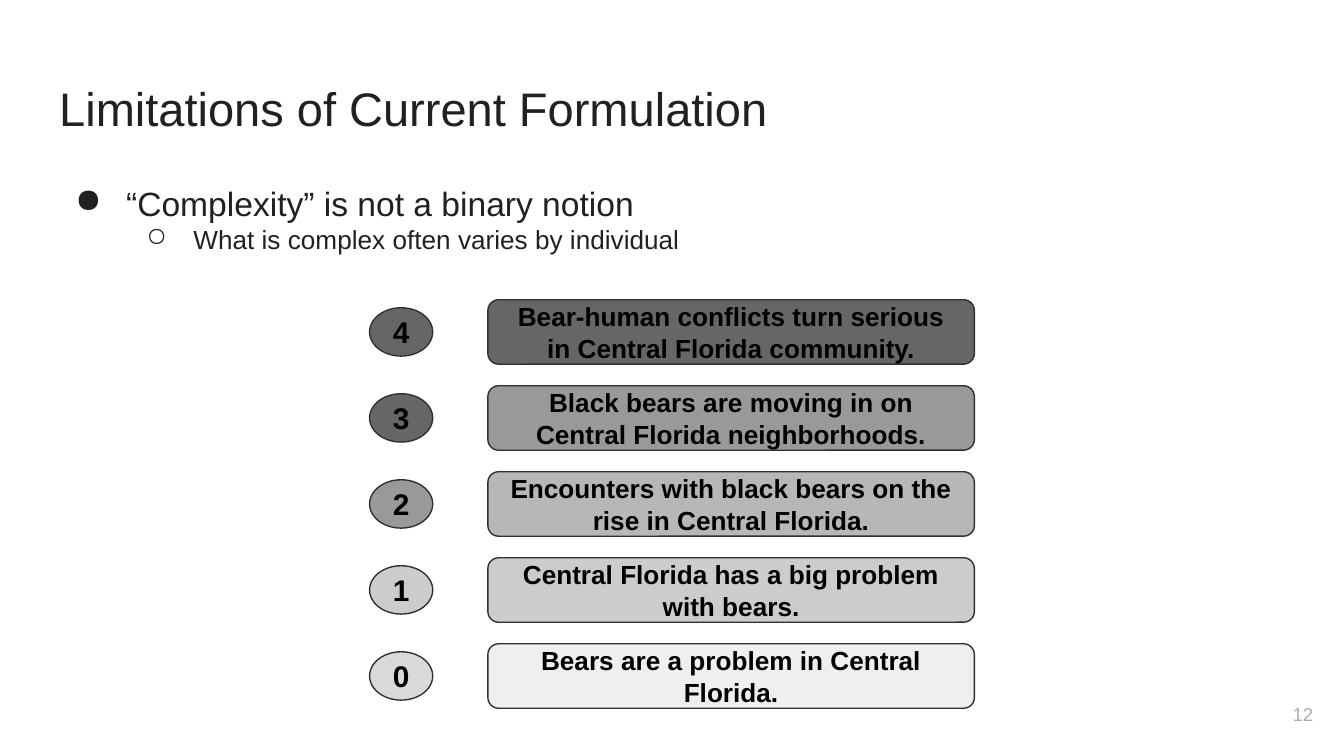
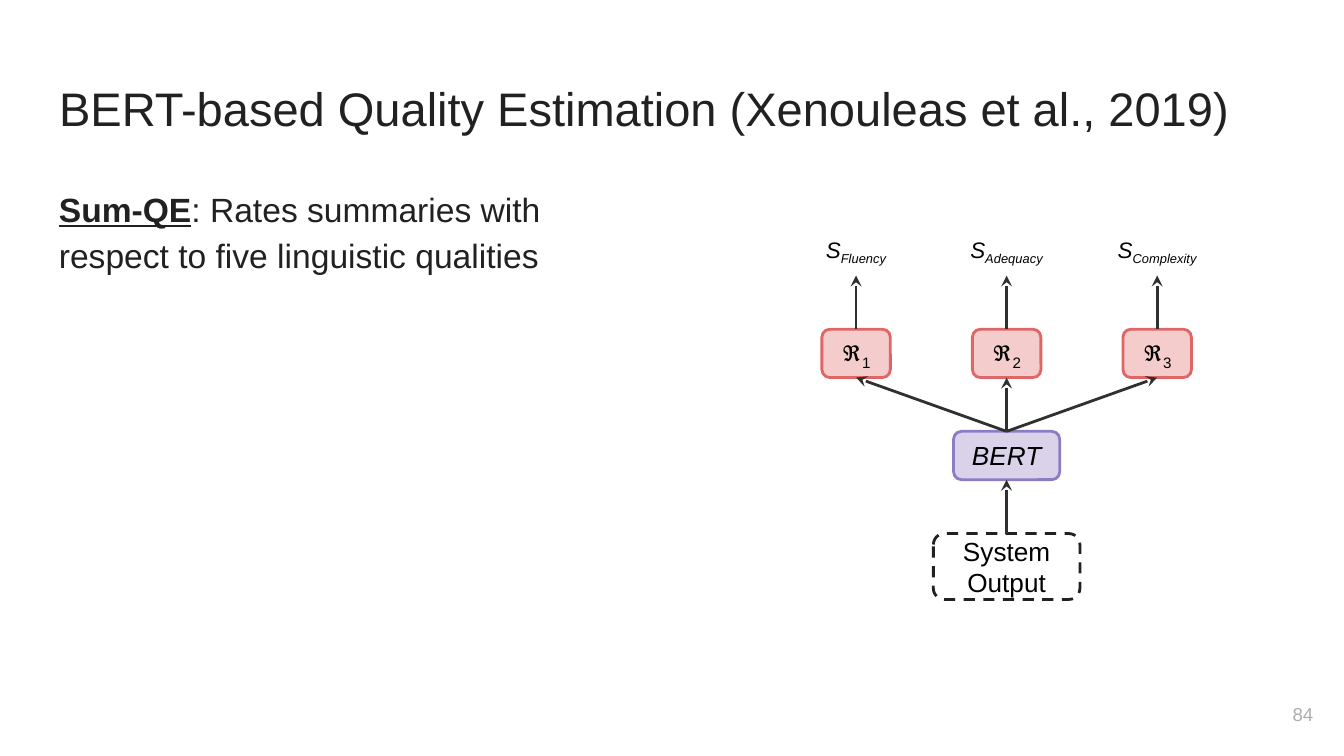
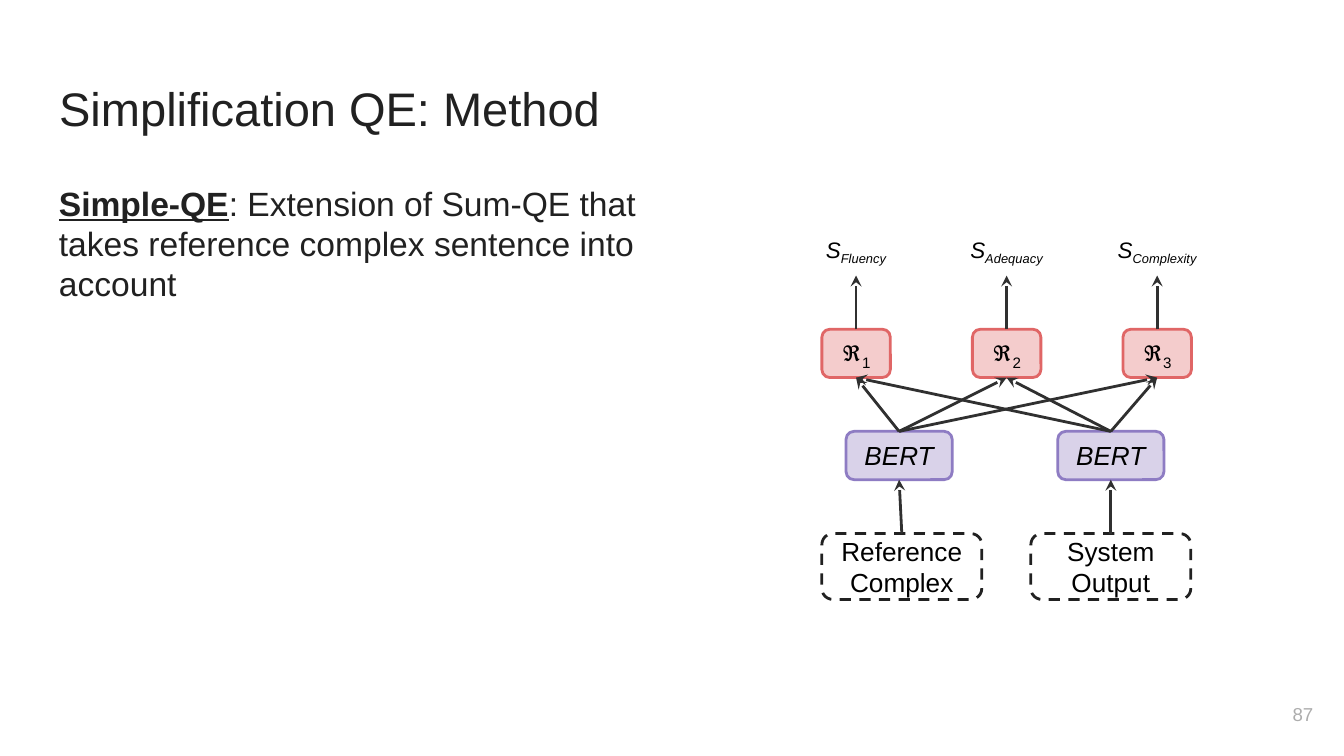
from lxml.etree import SubElement
from pptx import Presentation
from pptx.dml.color import RGBColor
from pptx.enum.dml import MSO_LINE_DASH_STYLE as Dash
from pptx.enum.shapes import MSO_CONNECTOR, MSO_SHAPE as Shape
from pptx.enum.text import MSO_ANCHOR as Anchor, MSO_AUTO_SIZE, PP_ALIGN as Align
from pptx.oxml.ns import qn
from pptx.util import Inches, Pt

# Grid: 100 columns across the slide, square cells
CELL = Inches(0.1)
FONT = "Arial"

INK = RGBColor(0x21, 0x21, 0x21)
BLACK = RGBColor(0x00, 0x00, 0x00)
WHITE = RGBColor(0xFF, 0xFF, 0xFF)
OUTLINE = RGBColor(0x30, 0x30, 0x30)
PAGE_GRAY = RGBColor(0xAD, 0xAD, 0xAD)
GRAY_1 = RGBColor(0x66, 0x66, 0x66)
GRAY_2 = RGBColor(0x99, 0x99, 0x99)
GRAY_3 = RGBColor(0xB7, 0xB7, 0xB7)
GRAY_4 = RGBColor(0xCC, 0xCC, 0xCC)
GRAY_5 = RGBColor(0xD9, 0xD9, 0xD9)
GRAY_6 = RGBColor(0xEF, 0xEF, 0xEF)
PINK = RGBColor(0xF4, 0xCC, 0xCC)
RED = RGBColor(0xE0, 0x66, 0x66)
LILAC = RGBColor(0xD9, 0xD2, 0xE9)
PURPLE = RGBColor(0x8E, 0x7C, 0xC3)


def cells(*counts):
    return [round(count * CELL) for count in counts]


class Deck:
    """House style, the presentation and the slide being filled."""

    def __init__(self):
        self.prs = Presentation()
        self.prs.slide_width, self.prs.slide_height = cells(100, 56.25)
        self.slide = None

    def new_slide(self, heading, number):
        self.slide = self.prs.slides.add_slide(self.prs.slide_layouts[5])
        title = self.slide.shapes.title
        title.left, title.top, title.width, title.height = cells(3.4, 4.9, 93.2, 6.3)
        title.text = heading
        self.frame(title, Anchor.TOP)
        self.style(title.text_frame.paragraphs[0], 25.2)
        page = self.text_box(92.7, 51, 6, 4.3, Anchor.MIDDLE)
        page.text = number
        self.style(page, 10, PAGE_GRAY, Align.RIGHT)

    def frame(self, shape, anchor):
        frame = shape.text_frame
        frame.word_wrap = True
        frame.auto_size = MSO_AUTO_SIZE.NONE
        frame.vertical_anchor = anchor
        frame.margin_left = frame.margin_right = CELL
        frame.margin_top = frame.margin_bottom = CELL
        return frame

    def style(self, paragraph, size, color=INK, align=Align.LEFT, bold=None, italic=None):
        paragraph.alignment = align
        font = paragraph.font
        font.name, font.size = FONT, Pt(size)
        font.bold, font.italic = bold, italic
        font.color.rgb = color

    def text_box(self, left, top, width, height, anchor=Anchor.TOP):
        box = self.slide.shapes.add_textbox(*cells(left, top, width, height))
        return self.frame(box, anchor).paragraphs[0]

    def bullets(self, items):
        """Items are (text, level, mark, size, left margin, hanging indent)."""
        first = self.text_box(3.4, 12.6, 93.2, 40.7)
        frame = first._parent
        for index, (text, level, mark, size, margin, hang) in enumerate(items):
            paragraph = frame.add_paragraph() if index else first
            paragraph.text = text
            paragraph.level = level
            props = paragraph._p.get_or_add_pPr()
            left, indent = cells(margin, -hang)
            props.set("marL", str(left))
            props.set("indent", str(indent))
            color = SubElement(props, qn("a:buClr"))
            SubElement(color, qn("a:srgbClr"), val=str(INK))
            SubElement(props, qn("a:buChar"), char=mark)
            self.style(paragraph, size)

    def definition(self, term, meaning, spacing=None):
        paragraph = self.text_box(3.4, 12.6, 46.6, 37.4)
        lead = paragraph.add_run()
        lead.text = term
        lead.font.bold = lead.font.underline = True
        paragraph.add_run().text = meaning
        paragraph.line_spacing = spacing
        self.style(paragraph, 18)

    def node(self, label, center, extent, fill, line=None, weight=1.5, size=14, subscript="",
             kind=Shape.ROUNDED_RECTANGLE, dash=None, bold=None, italic=None):
        (x, y), (width, height) = center, extent
        shape = self.slide.shapes.add_shape(
            kind, *cells(x - width / 2, y - height / 2, width, height))
        shape.shadow.inherit = False
        shape.fill.solid()
        shape.fill.fore_color.rgb = fill
        if line is None:
            shape.line.fill.background()
        else:
            shape.line.color.rgb = line
            shape.line.width = Pt(weight)
            shape.line.dash_style = dash
        paragraph = self.frame(shape, Anchor.MIDDLE).paragraphs[0]
        paragraph.add_run().text = label
        if subscript:
            lowered = paragraph.add_run()
            lowered.text = subscript
            lowered._r.get_or_add_rPr().set("baseline", "-25000")
        self.style(paragraph, size, BLACK, Align.CENTER, bold, italic)
        return shape

    def arrow(self, lower, upper):
        """Arrow from the top of one node to the bottom of another."""
        link = self.slide.shapes.add_connector(MSO_CONNECTOR.STRAIGHT, 0, 0, 0, 0)
        link.begin_connect(lower, 0)
        link.end_connect(upper, 2)
        link.line.color.rgb = OUTLINE
        link.line.width = Pt(1.5)
        SubElement(link.line._get_or_add_ln(), qn("a:tailEnd"), type="stealth")
        SubElement(link._element.spPr, qn("a:effectLst"))

    def quality_model(self, encoders):
        """Encoders are (source text, source column, source width, encoder column)."""
        regressors = []
        for index, quality in enumerate(["Fluency", "Adequacy", "Complexity"]):
            column = 63.7 + 11.2 * index
            score = self.node("S", (column, 18.7), (8.7, 3.6), WHITE, size=12,
                              subscript=quality, italic=True)
            regressor = self.node("ℜ", (column, 26.3), (5.1, 3.6), PINK, RED,
                                  subscript=str(index + 1))
            self.arrow(regressor, score)
            regressors.append(regressor)
        for text, source_column, width, encoder_column in encoders:
            encoder = self.node("BERT", (encoder_column, 33.9), (7.9, 3.6), LILAC, PURPLE,
                                italic=True)
            source = self.node(text, (source_column, 42.15), (width, 4.9), WHITE, INK,
                               dash=Dash.DASH)
            self.arrow(source, encoder)
            for regressor in regressors:
                self.arrow(encoder, regressor)


def main():
    deck = Deck()

    # Complexity levels
    deck.new_slide("Limitations of Current Formulation", "12")
    deck.bullets([
        ("“Complexity” is not a binary notion", 0, "●", 18, 5, 3.8),
        ("What is complex often varies by individual", 1, "○", 14, 10, 3.5),
    ])
    levels = [
        ("4", GRAY_1, "Bear-human conflicts turn serious in Central Florida community.", GRAY_1),
        ("3", GRAY_1, "Black bears are moving in on Central Florida neighborhoods.", GRAY_2),
        ("2", GRAY_2, "Encounters with black bears on the rise in Central Florida.", GRAY_3),
        ("1", GRAY_4, "Central Florida has a big problem with bears.", GRAY_4),
        ("0", GRAY_5, "Bears are a problem in Central Florida.", GRAY_6),
    ]
    for index, (level, level_fill, sentence, sentence_fill) in enumerate(levels):
        row = 24.7 + 6.4 * index
        deck.node(level, (29.85, row), (4.7, 3.6), level_fill, OUTLINE, 0.75, 16,
                  kind=Shape.OVAL, bold=True)
        deck.node(sentence, (54.4, row), (36.2, 4.8), sentence_fill, OUTLINE, 0.75, bold=True)

    # Quality estimation from the output alone
    deck.new_slide("BERT-based Quality Estimation (Xenouleas et al., 2019)", "84")
    deck.definition("Sum-QE", ": Rates summaries with respect to five linguistic qualities", 1.15)
    deck.quality_model([("System Output", 74.9, 10.9, 74.9)])

    # Quality estimation with the reference sentence
    deck.new_slide("Simplification QE: Method", "87")
    deck.definition("Simple-QE", ": Extension of Sum-QE that takes reference complex sentence "
                                 "into account")
    deck.quality_model([("Reference Complex", 67.1, 11.9, 66.9),
                        ("System Output", 82.65, 11.9, 82.65)])

    deck.prs.save("out.pptx")


if __name__ == "__main__":
    main()
